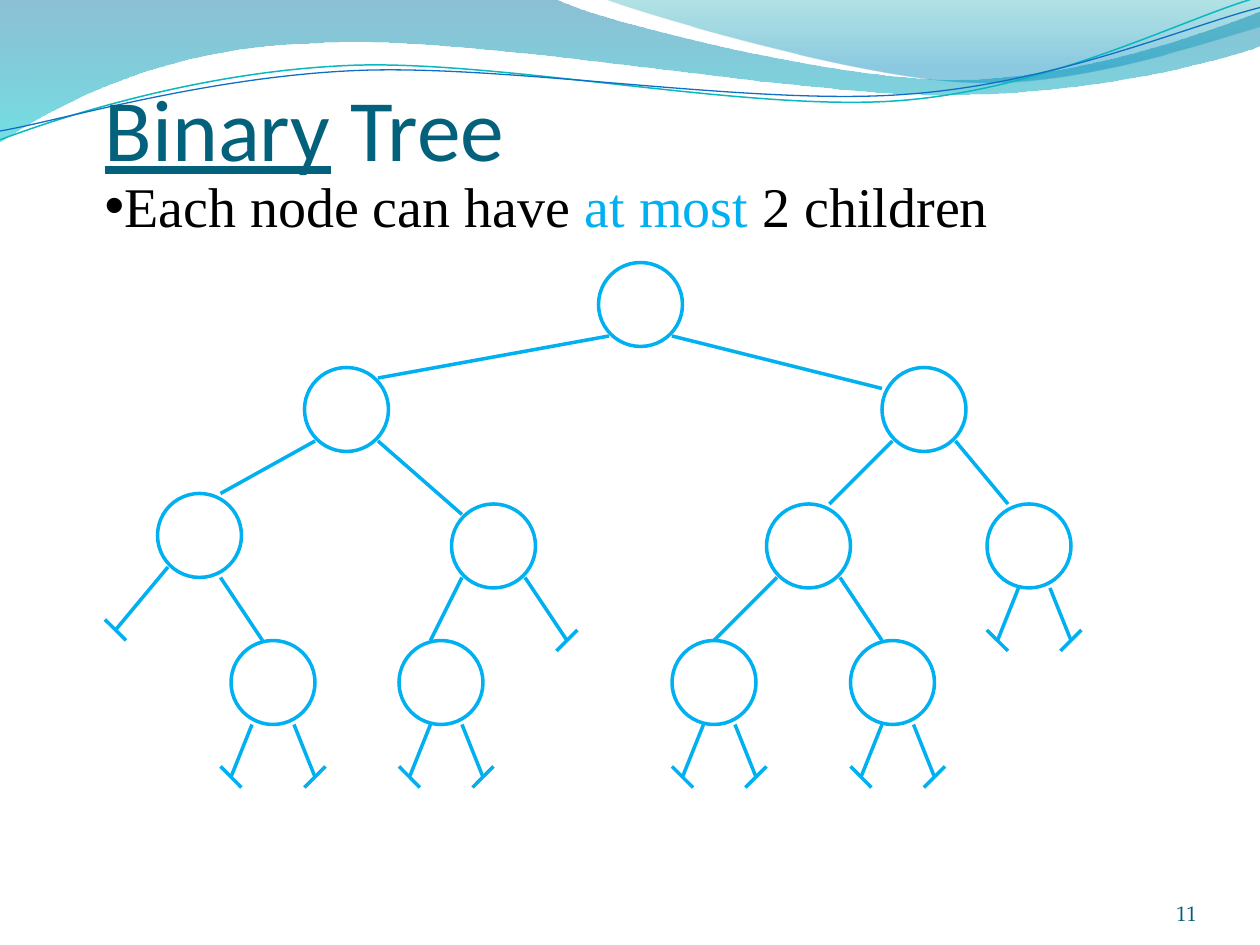
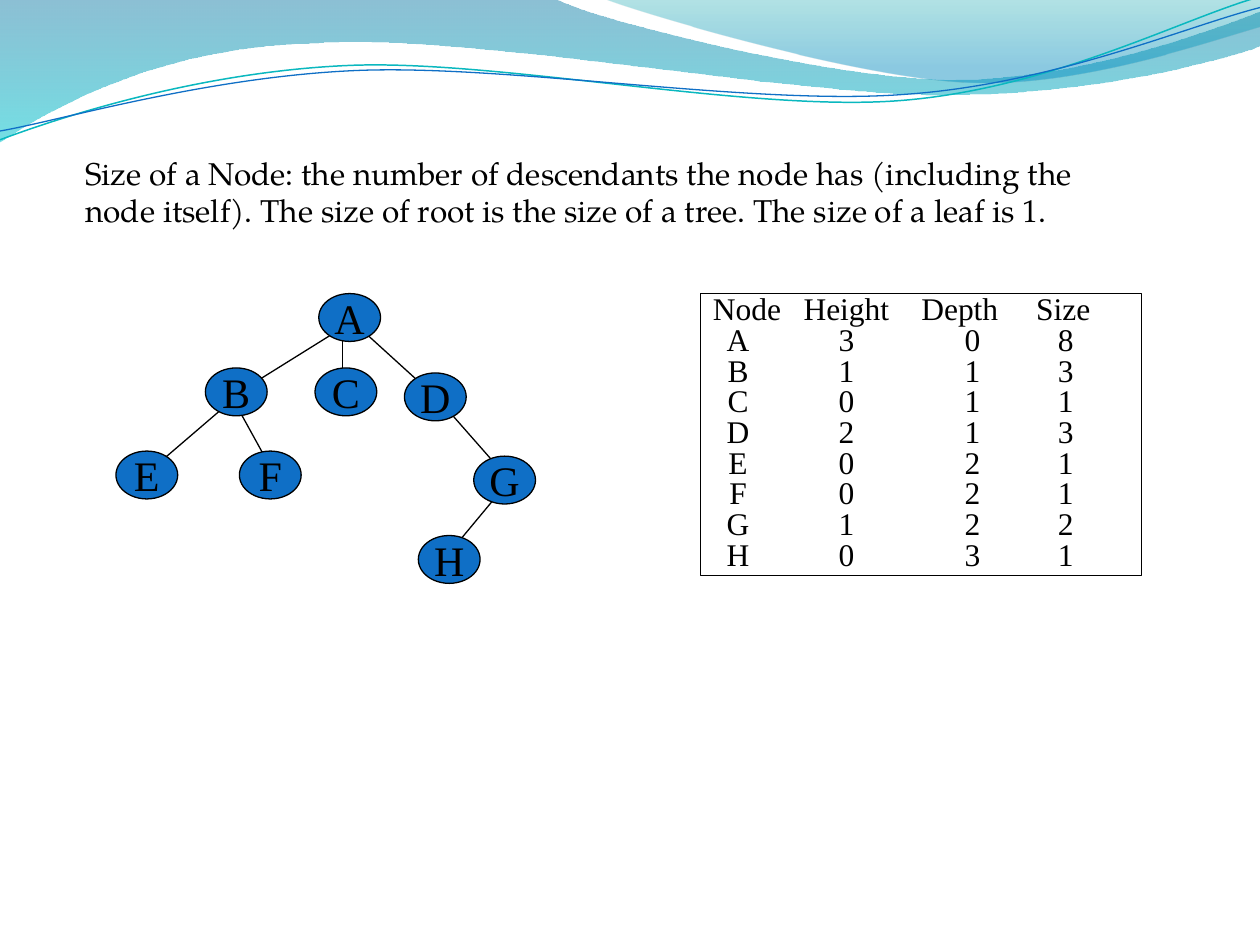
from lxml.etree import Element, SubElement
from pptx import Presentation
from pptx.dml.color import RGBColor
from pptx.enum.shapes import MSO_CONNECTOR, MSO_SHAPE
from pptx.enum.text import MSO_ANCHOR, MSO_AUTO_SIZE, PP_ALIGN
from pptx.oxml.ns import qn
from pptx.util import Inches, Pt

BLACK = RGBColor(0x00, 0x00, 0x00)
TITLE_TEAL = RGBColor(0x04, 0x61, 0x7B)
NUMBER_TEAL = RGBColor(0x04, 0x5D, 0x75)
SKY = RGBColor(0x00, 0xB0, 0xF0)
NODE_BLUE = RGBColor(0x0F, 0x6F, 0xC6)
WAVE_TEAL = RGBColor(0x0A, 0xB8, 0xBF)
SERIF, BODY, HEADING = "Times New Roman", "TeX Gyre Pagella", "Calibri"

# Wave outlines: a pair is a straight step, six numbers are a Bezier curve.
# Gradient stops: position, colour, opacity in percent.
BANDS = [
    ([(0, 0), (4.4, -0.01), (4.76, 0.17, 6.64, 0.63, 7.58, 0.63),
      (8.53, 0.63, 9.58, 0.26, 10, 0.09), (10.01, 0.36),
      (9.83, 0.44, 8.7, 0.76, 7.46, 0.75), (6.22, 0.75, 3.82, 0.28, 2.57, 0.34),
      (1.29, 0.36, 0.46, 0.83, -0.01, 1.13)],
     [(0, RGBColor(0x00, 0x74, 0xA1), 45), (1, RGBColor(0x00, 0xC6, 0xCF), 55)]),
    ([(4.79, -0.01), (5.09, 0.11, 6.82, 0.62, 7.69, 0.65),
      (8.56, 0.69, 9.61, 0.32, 10, 0.21), (10, 0)],
     [(0, RGBColor(0x00, 0xA1, 0xA9), 30), (0.8, RGBColor(0x00, 0x8B, 0xBF), 45)]),
]
WAVE_LINES = [
    ([(0, 1.11), (0.48, 0.93, 1.58, 0.57, 2.77, 0.52),
      (3.95, 0.47, 5.93, 0.89, 7.13, 0.8), (8.33, 0.71, 9.38, 0.15, 9.98, -0.02)],
     WAVE_TEAL, 0.85),
    ([(0, 1.04), (0.47, 0.96, 1.64, 0.61, 2.83, 0.56),
      (4.03, 0.51, 5.97, 0.84, 7.17, 0.75), (8.36, 0.67, 9.41, 0.21, 10, 0.06)],
     NODE_BLUE, 0.75),
]

# Binary tree, on a grid of twelfths of an inch
GRID = 1 / 12
NODE_UNITS = 8
BINARY_NODES = [(57, 25), (29, 35), (84, 35), (15, 47), (43, 48), (73, 48),
                (94, 48), (22, 61), (38, 61), (64, 61), (81, 61)]
CHILD_LINKS = [
    (58, 32, 36, 36), (64, 32, 84, 37), (30, 42, 21, 47), (36, 42, 44, 49),
    (85, 42, 79, 48), (91, 42, 96, 48), (21, 55, 25, 61), (44, 55, 41, 61),
    (74, 55, 68, 61), (80, 55, 84, 61),
]
EMPTY_LINKS = [
    (16, 54, 11, 60), (50, 55, 54, 61), (97, 56, 95, 61), (100, 56, 102, 61),
    (24, 69, 22, 74), (28, 69, 30, 74), (41, 69, 39, 74), (44, 69, 46, 74),
    (67, 69, 65, 74), (70, 69, 72, 74), (84, 69, 82, 74), (87, 69, 89, 74),
]

# Lettered tree, in inches
LETTER_W, LETTER_H = 0.49, 0.38
LETTER_NODES = {"A": (2.53, 2.33), "B": (1.63, 2.92), "C": (2.5, 2.92),
                "D": (3.21, 2.96), "E": (0.92, 3.58), "F": (1.9, 3.58),
                "G": (3.76, 3.62), "H": (3.32, 4.25)}
LETTER_LINKS = [
    (2.72, 2.5, 2.72, 3.17), (4.03, 3.83, 3.54, 4.42), (3.48, 3.17, 3.92, 3.67),
    (1.85, 3.17, 1.08, 3.83), (1.85, 3.17, 2.17, 3.75), (2.72, 2.6, 1.95, 3.08),
    (2.83, 2.58, 3.38, 3.08),
]
SIZE_TEXT = ("Size of a Node: the number of descendants the node has (including the "
             "node itself). The size of root is the size of a tree. "
             "The size of a leaf is 1.")

# Framed list of measures, set out with centred tab stops
MEASURES_BOX = (5.56, 2.33, 3.5, 2.24)
MEASURES_HEADER = "Node\tHeight\tDepth\tSize"
HEADER_TABS = (1.06, 1.96, 2.78)
MEASURES = [("A", 3, 0, 8), ("B", 1, 1, 3), ("C", 0, 1, 1), ("D", 2, 1, 3),
            ("E", 0, 2, 1), ("F", 0, 2, 1), ("G", 1, 2, 2), ("H", 0, 3, 1)]
MEASURE_TABS = (0.2, 1.06, 2.06, 2.8)


def box(*lengths):
    return [Inches(v) for v in lengths]


def style(p, font, size, color, align=PP_ALIGN.LEFT):
    p.alignment = align
    p.font.name, p.font.size, p.font.color.rgb = font, Pt(size), color


def add_runs(p, parts):
    runs = []
    for part in parts:
        r = p.add_run()
        r.text = part
        runs.append(r)
    return runs


def set_insets(tf, left, top, right, bottom):
    tf.margin_left, tf.margin_top, tf.margin_right, tf.margin_bottom = box(
        left, top, right, bottom)


def add_line(slide, ends, color, width):
    line = slide.shapes.add_connector(MSO_CONNECTOR.STRAIGHT, *box(*ends))
    line.line.color.rgb, line.line.width = color, Pt(width)
    SubElement(line._element.spPr, qn("a:effectLst"))


def add_outlined(slide, kind, place, line_color, width, fill=None):
    sp = slide.shapes.add_shape(kind, *box(*place))
    sp.shadow.inherit = False
    if fill is None:
        sp.fill.background()
    else:
        sp.fill.solid()
        sp.fill.fore_color.rgb = fill
    sp.line.color.rgb, sp.line.width = line_color, Pt(width)
    return sp


def add_outline(slide, outline, close):
    """Build a freeform, then bend each step that has control points."""
    first, *rest = [box(*part[-2:]) for part in outline]
    builder = slide.shapes.build_freeform(*first)
    builder.add_line_segments(rest, close=close)
    sp = builder.convert_to_shape()
    sp.shadow.inherit = False
    segments = list(sp._element.iter(qn("a:lnTo")))
    for segment, part in zip(segments, outline[1:]):
        if len(part) == 6:
            segment.tag = qn("a:cubicBezTo")
            for i in (0, 1):
                x, y = box(*part[2 * i:2 * i + 2])
                segment.insert(i, Element(qn("a:pt"), x=str(x - sp.left),
                                          y=str(y - sp.top)))
    return sp


def add_master_waves(prs, slide):
    """Draw the waves on a slide, then move them behind everything on the master."""
    waves = []
    for outline, stops in BANDS:
        sp = add_outline(slide, outline, close=True)
        sp.fill.gradient()
        sp.fill.gradient_angle = 270
        for stop, (position, color, _) in zip(sp.fill.gradient_stops, stops):
            stop.position, stop.color.rgb = position, color
        for clr, (_, _, opacity) in zip(sp._element.iter(qn("a:srgbClr")), stops):
            SubElement(clr, qn("a:alpha"), val=str(opacity * 1000))
        sp.line.fill.background()
        waves.append(sp)
    for outline, color, width in WAVE_LINES:
        sp = add_outline(slide, outline, close=False)
        sp.fill.background()
        sp.line.color.rgb, sp.line.width = color, Pt(width)
        waves.append(sp)
    for i, sp in enumerate(waves):
        prs.slide_master.shapes.element.insert(2 + i, sp._element)


def add_binary_tree(slide):
    def link(*ends):
        add_line(slide, [v * GRID for v in ends], SKY, 2)

    for x, y in BINARY_NODES:
        place = [v * GRID for v in (x, y, NODE_UNITS, NODE_UNITS)]
        add_outlined(slide, MSO_SHAPE.OVAL, place, SKY, 2)
    for ends in CHILD_LINKS:
        link(*ends)
    for x0, y0, x, y in EMPTY_LINKS:
        link(x0, y0, x, y)
        slope = 1 if x < x0 else -1
        link(x - 1, y - slope, x + 1, y + slope)


def build_binary_slide(slide):
    title, body = slide.placeholders
    title.left, title.top, title.width, title.height = box(0.83, 0.17, 8.5, 1.25)
    tf = title.text_frame
    tf.vertical_anchor, tf.auto_size = MSO_ANCHOR.BOTTOM, MSO_AUTO_SIZE.NONE
    set_insets(tf, 0, 0.05, 0, 0)
    p = tf.paragraphs[0]
    style(p, HEADING, 50, TITLE_TEAL)
    add_runs(p, ["Binary", " Tree"])[0].font.underline = True

    body.left, body.top, body.width, body.height = box(0.73, 1.31, 8.58, 0.63)
    body.text_frame.auto_size = MSO_AUTO_SIZE.NONE
    p = body.text_frame.paragraphs[0]
    style(p, SERIF, 32, BLACK)
    p.space_before = Pt(0)
    pPr = p._p.get_or_add_pPr()
    pPr.set("marL", "0")
    pPr.set("indent", "0")
    runs = add_runs(p, ["Each node can have ", "at most ", "2 children"])
    runs[1].font.color.rgb = SKY

    add_binary_tree(slide)

    tf = slide.shapes.add_textbox(*box(8.67, 6.95, 0.83, 0.4)).text_frame
    tf.word_wrap, tf.vertical_anchor = True, MSO_ANCHOR.BOTTOM
    set_insets(tf, 0, 0, 0, 0)
    tf.text = "11"
    style(tf.paragraphs[0], BODY, 12, NUMBER_TEAL, PP_ALIGN.RIGHT)


def set_center_tabs(p, positions):
    tabs = Element(qn("a:tabLst"))
    for position in positions:
        SubElement(tabs, qn("a:tab"), pos=str(Inches(position)), algn="ctr")
    p._p.pPr.find(qn("a:defRPr")).addprevious(tabs)


def add_measures(slide):
    sp = add_outlined(slide, MSO_SHAPE.RECTANGLE, MEASURES_BOX, BLACK, 0.75)
    tf = sp.text_frame
    tf.word_wrap, tf.vertical_anchor = True, MSO_ANCHOR.TOP
    lines = [MEASURES_HEADER]
    lines += ["\t" + "\t".join(map(str, row)) for row in MEASURES]
    tf.text = "\n".join(lines)
    for i, p in enumerate(tf.paragraphs):
        style(p, SERIF, 18, BLACK)
        p.line_spacing, p.space_before = 0.7, Pt(2.4)
        set_center_tabs(p, MEASURE_TABS if i else HEADER_TABS)


def build_size_slide(slide):
    tf = slide.shapes.add_textbox(*box(0.58, 1.17, 8.5, 0.71)).text_frame
    tf.word_wrap = True
    tf.text = SIZE_TEXT
    style(tf.paragraphs[0], BODY, 18, BLACK)

    for ends in LETTER_LINKS:
        add_line(slide, ends, BLACK, 0.75)
    for letter, (x, y) in LETTER_NODES.items():
        sp = add_outlined(slide, MSO_SHAPE.OVAL, (x, y, LETTER_W, LETTER_H),
                          BLACK, 0.75, NODE_BLUE)
        tf = sp.text_frame
        tf.word_wrap, tf.vertical_anchor = False, MSO_ANCHOR.MIDDLE
        tf.text = letter
        style(tf.paragraphs[0], SERIF, 24, BLACK, PP_ALIGN.CENTER)

    add_measures(slide)


def main():
    prs = Presentation()
    prs.slide_width, prs.slide_height = box(10, 7.5)
    binary = prs.slides.add_slide(prs.slide_layouts[1])
    add_master_waves(prs, binary)
    build_binary_slide(binary)
    build_size_slide(prs.slides.add_slide(prs.slide_layouts[6]))
    prs.save("out.pptx")


if __name__ == "__main__":
    main()
